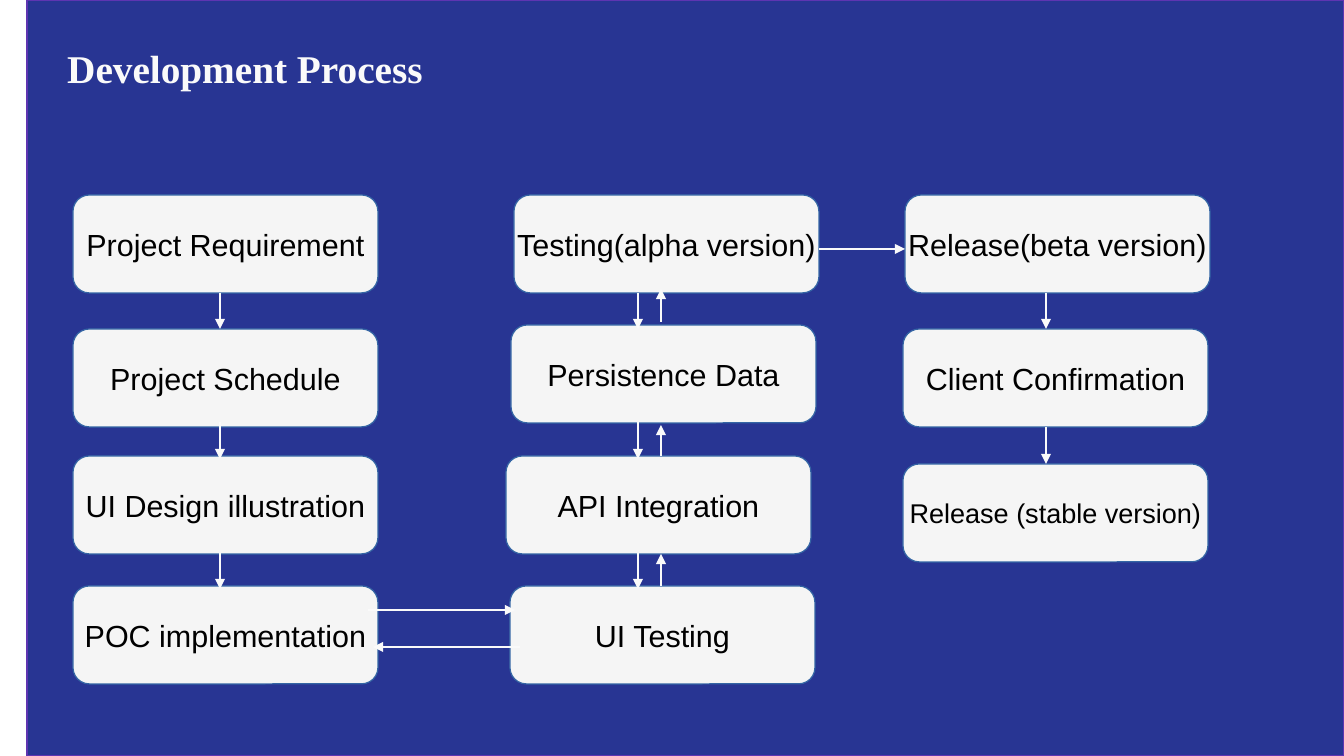
"""Build the Development Process flowchart slide."""
from lxml import etree
from pptx import Presentation
from pptx.dml.color import RGBColor
from pptx.enum.shapes import MSO_CONNECTOR, MSO_SHAPE
from pptx.enum.text import MSO_ANCHOR, MSO_AUTO_SIZE, PP_ALIGN
from pptx.oxml.ns import qn
from pptx.util import Pt

PX = 7495
SLIDE_WIDTH, SLIDE_HEIGHT = 1344, 756
BOX_WIDTH, BOX_HEIGHT = 305, 98
TITLE_ONLY = 5
STRAIGHT = MSO_CONNECTOR.STRAIGHT
RECTANGLE, ROUNDED = MSO_SHAPE.RECTANGLE, MSO_SHAPE.ROUNDED_RECTANGLE
TOP, MIDDLE = MSO_ANCHOR.TOP, MSO_ANCHOR.MIDDLE
LEFT, CENTER = PP_ALIGN.LEFT, PP_ALIGN.CENTER
NO_FIT = MSO_AUTO_SIZE.NONE

INDIGO = RGBColor(0x28, 0x35, 0x93)
PURPLE = RGBColor(0x5E, 0x35, 0xB1)
PALE = RGBColor(0xF5, 0xF5, 0xF5)
BLUE = RGBColor(0x34, 0x65, 0xA4)
OFF_WHITE = RGBColor(0xFA, 0xFA, 0xFA)
BLACK = RGBColor(0, 0, 0)

TITLE = "Development Process"
TITLE_PLACE = (55, 32, 1144, 87)
PANEL_PLACE = (27, 0, 1317, 756)
TITLE_FONT = {"name": "Times New Roman", "size": Pt(40), "bold": True}
STEP_FONT = {"name": "Arial"}

STEPS = [
    ("Project Requirement", 73, 195, 18),
    ("Project Schedule", 73, 329, 18),
    ("UI Design illustration", 73, 456, 18),
    ("POC implementation", 73, 586, 18),
    ("UI Testing", 510, 586, 18),
    ("API Integration", 506, 456, 18),
    ("Persistence Data", 511, 325, 18),
    ("Testing(alpha version)", 514, 195, 18),
    ("Release(beta version)", 905, 195, 18),
    ("Client Confirmation", 903, 329, 18),
    ("Release (stable version)", 903, 464, 16),
]
DOWN = [(293, 329), (422, 459), (553, 589)]
UP = [(586, 554), (456, 425), (322, 289)]
RELEASE_DOWN = [(293, 329), (427, 464)]
VERTICAL_ARROWS = [(220, DOWN), (638, DOWN), (661, UP), (1046, RELEASE_DOWN)]
HORIZONTAL_ARROWS = [(610, 368, 515), (647, 520, 373), (249, 819, 905)]


def scale(*lengths):
    return [length * PX for length in lengths]


def add_box(slide, kind, place, fill, line):
    box = slide.shapes.add_shape(kind, *scale(*place))
    box.shadow.inherit = False
    box.fill.solid()
    box.fill.fore_color.rgb = fill
    box.line.color.rgb = line
    box.line.width = Pt(0.75)
    return box


def write(shape, text, font, color, frame_format, alignment):
    frame = shape.text_frame
    for name, value in frame_format.items():
        setattr(frame, name, value)
    para = frame.paragraphs[0]
    para.alignment = alignment
    span = para.add_run()
    span.text = text
    for name, value in font.items():
        setattr(span.font, name, value)
    span.font.color.rgb = color
    return span


def add_arrow(slide, *ends):
    arrow = slide.shapes.add_connector(STRAIGHT, *scale(*ends))
    arrow.line.color.rgb = OFF_WHITE
    arrow.line.width = Pt(0.75)
    etree.SubElement(arrow.line._get_or_add_ln(), qn("a:tailEnd"), type="triangle")
    etree.SubElement(arrow._element.spPr, qn("a:effectLst"))


def main():
    deck = Presentation()
    deck.slide_width, deck.slide_height = scale(SLIDE_WIDTH, SLIDE_HEIGHT)
    page = deck.slides.add_slide(deck.slide_layouts[TITLE_ONLY])

    title = page.shapes.title
    title.left, title.top, title.width, title.height = scale(*TITLE_PLACE)
    title_format = {"vertical_anchor": TOP, "word_wrap": True, "auto_size": NO_FIT}
    span = write(title, TITLE, TITLE_FONT, OFF_WHITE, title_format, LEFT)
    span.font._element.set("baseline", "33000")

    panel = add_box(page, RECTANGLE, PANEL_PLACE, INDIGO, PURPLE)
    title._element.addprevious(panel._element)

    step_format = {"vertical_anchor": MIDDLE, "word_wrap": False, "auto_size": NO_FIT}
    for text, left, top, size in STEPS:
        box = add_box(page, ROUNDED, (left, top, BOX_WIDTH, BOX_HEIGHT), PALE, BLUE)
        write(box, text, STEP_FONT | {"size": Pt(size)}, BLACK, step_format, CENTER)

    for x, spans in VERTICAL_ARROWS:
        for start, end in spans:
            add_arrow(page, x, start, x, end)
    for y, start, end in HORIZONTAL_ARROWS:
        add_arrow(page, start, y, end, y)

    deck.save("out.pptx")


if __name__ == "__main__":
    main()
